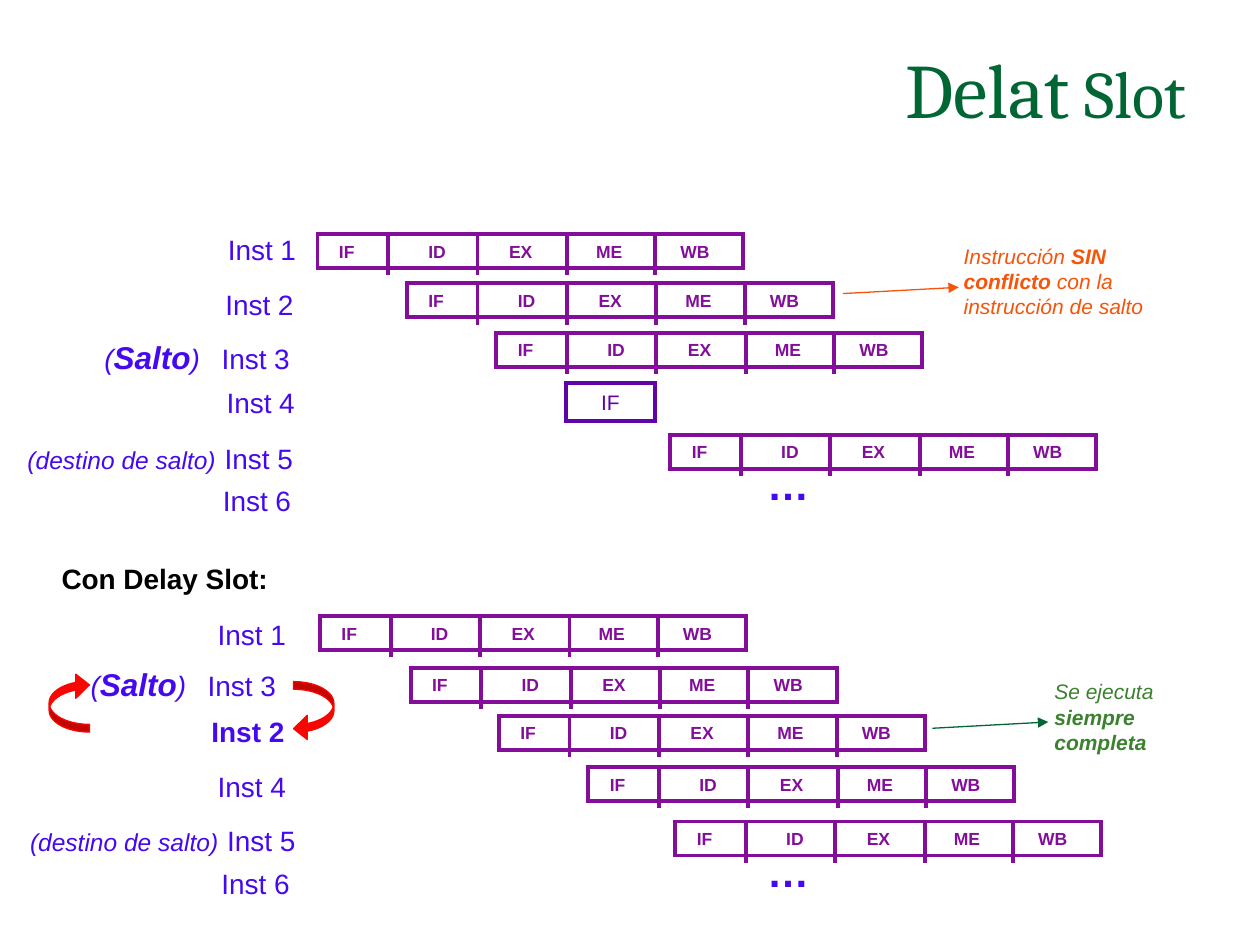
from lxml.etree import SubElement
from pptx import Presentation
from pptx.dml.color import RGBColor
from pptx.enum.shapes import MSO_CONNECTOR as LINK, MSO_SHAPE as SHAPE
from pptx.enum.text import MSO_ANCHOR as ANCHOR, PP_ALIGN as ALIGN
from pptx.oxml.ns import qn
from pptx.util import Inches, Pt

INK, PURPLE, VIOLET = "4509EF", "830E9A", "5E04A8"
ORANGE, GREEN, LEAF, RED = "F75309", "006633", "3B812F", "F70701"

# Text runs: (text, size, style), style holding "b" and/or "i"
JUMP = [("(", 16, "i"), ("Salto", 18, "bi"), (")", 16, "i"), ("\tInst 3", 16, "")]
TARGET = [("(destino de salto)", 14, "i"), (" ", 18, ""), ("Inst 5", 16, "")]
DOTS = [("…", 24, "b")]


def plain(number, style=""):
    return [(f"Inst {number}", 16, style)]


# Instruction labels: (left, top, width, height, runs)
LABELS = [
    (1.71, 1.80, 0.74, 0.37, plain(1)),
    (1.69, 2.23, 0.74, 0.37, plain(2)),
    (0.73, 2.63, 1.79, 0.40, JUMP),
    (1.70, 3.01, 0.74, 0.37, plain(4)),
    (0.12, 3.43, 2.30, 0.40, TARGET),
    (1.67, 3.79, 0.74, 0.37, plain(6)),
    (5.99, 3.59, 0.53, 0.50, DOTS),
    (1.63, 4.85, 0.74, 0.37, plain(1)),
    (0.62, 5.23, 1.79, 0.40, JUMP),
    (1.58, 5.62, 0.78, 0.37, plain(2, "b")),
    (1.63, 6.06, 0.74, 0.37, plain(4)),
    (0.14, 6.46, 2.30, 0.40, TARGET),
    (1.66, 6.83, 0.74, 0.37, plain(6)),
    (5.99, 6.66, 0.53, 0.50, DOTS),
]
JUMP_TAB = 0.93

# Pipelines: left and top of each bar; stage offsets are shared
STAGES = ["IF", "ID", "EX", "ME", "WB"]
BARS = [(2.52, 1.86), (3.23, 2.25), (3.94, 2.64), (5.32, 3.45),
        (2.54, 4.89), (3.26, 5.30), (3.96, 5.68), (4.67, 6.09), (5.36, 6.52)]
BAR_WIDTH, BAR_HEIGHT, BAR_INSET = 3.38, 0.27, 0.17
STAGE_TABS = [0.71, 1.35, 2.04, 2.71]
DIVIDERS = [0.56, 1.27, 1.98, 2.68]

# Notes: (box, runs, text colour, arrow ends, arrow colour)
NOTES = [
    ((7.55, 1.88, 1.70, 0.70),
     [("Instrucción ", 12, "i"), ("SIN conflicto", 12, "bi"),
      (" con la instrucción de salto", 12, "i")],
     ORANGE, (6.69, 2.33, 7.61, 2.28), ORANGE),
    ((8.27, 5.34, 1.26, 0.70),
     [("Se ejecuta ", 12, "i"), ("siempre completa", 12, "bi")],
     LEAF, (7.40, 5.78, 8.32, 5.73), GREEN),
]

# Swap arrows: (left, top, rotation)
SWAPS = [(0.39, 5.34, 180), (2.33, 5.41, 0)]


def rgb(value):
    return RGBColor.from_string(value)


def write(shape, runs, color, font="Arial", align=ALIGN.LEFT, tabs=()):
    para = shape.text_frame.paragraphs[0]
    para.alignment = align
    for text, size, style in runs:
        span = para.add_run()
        span.text = text
        span.font.name, span.font.size = font, Pt(size)
        span.font.bold, span.font.italic = "b" in style, "i" in style
        span.font.color.rgb = rgb(color)
    if tabs:
        stops = SubElement(para._p.get_or_add_pPr(), qn("a:tabLst"))
        for tab in tabs:
            SubElement(stops, qn("a:tab"), pos=str(Inches(tab)), algn="l")


def add_text(area, runs, color, wrap=True, **style):
    box = page.shapes.add_textbox(*map(Inches, area))
    box.text_frame.word_wrap = wrap
    if not wrap:
        box.text_frame.margin_right = 0  # spare room keeps the label on one line
    write(box, runs, color, **style)


def add_frame(parent, area, color):
    frame = parent.add_shape(SHAPE.RECTANGLE, *map(Inches, area))
    frame.shadow.inherit = False
    frame.fill.background()
    frame.line.color.rgb, frame.line.width = rgb(color), Pt(2.25)
    SubElement(frame.line._get_or_add_ln(), qn("a:miter"), lim="800000")
    frame.text_frame.vertical_anchor = ANCHOR.MIDDLE
    return frame


def add_line(parent, ends, color, width, arrow=False):
    line = parent.add_connector(LINK.STRAIGHT, *map(Inches, ends))
    line.line.color.rgb, line.line.width = rgb(color), Pt(width)
    outline = line.line._get_or_add_ln()
    if arrow:
        SubElement(outline, qn("a:tailEnd"), type="triangle")
    else:
        outline.set("cap", "sq")
    SubElement(line._element.spPr, qn("a:effectLst"))


def add_pipeline(left, top):
    group = page.shapes.add_group_shape().shapes
    bar = add_frame(group, (left, top, BAR_WIDTH, BAR_HEIGHT), PURPLE)
    bar.text_frame.margin_left = Inches(BAR_INSET)
    write(bar, [("\t".join(STAGES), 10, "b")], PURPLE, tabs=STAGE_TABS)
    for offset in DIVIDERS:
        x = left + offset
        add_line(group, (x, top + 0.01, x, top + 0.31), PURPLE, 2.25)


deck = Presentation()
deck.slide_width, deck.slide_height = Inches(10), Inches(7.5)
page = deck.slides.add_slide(deck.slide_layouts[6])

# Title and subheading
add_text((0.51, 0.28, 9, 0.77), [("Delat", 44, ""), (" Slot", 38, "")], GREEN,
         font="Cambria", align=ALIGN.RIGHT)
add_text((0.39, 4.41, 9, 0.33), [("Con Delay Slot:", 16, "b")], "000000")

# Instruction labels
for *area, runs in LABELS:
    jump = runs is JUMP
    add_text(area, runs, INK, wrap=jump, tabs=[JUMP_TAB] if jump else ())

# Pipelines and the lone fetch
for left, top in BARS:
    add_pipeline(left, top)
fetch = add_frame(page.shapes, (4.49, 3.04, 0.71, 0.30), VIOLET)
write(fetch, [("IF", 12, "")], VIOLET, align=ALIGN.CENTER)

# Notes with their arrows
for area, runs, color, ends, arrow_color in NOTES:
    add_text(area, runs, color)
    add_line(page.shapes, ends, arrow_color, 0.75, arrow=True)

# Swap arrows
for left, top, rotation in SWAPS:
    swap = page.shapes.add_shape(SHAPE.CURVED_LEFT_ARROW, Inches(left), Inches(top),
                                 Inches(0.32), Inches(0.47))
    swap.shadow.inherit = False
    swap.rotation = rotation
    for index, value in enumerate((0.19, 0.6, 0.34)):
        swap.adjustments[index] = value
    swap.fill.solid()
    swap.fill.fore_color.rgb = swap.line.color.rgb = rgb(RED)
    swap.line.width = Pt(0.75)

deck.save("out.pptx")
